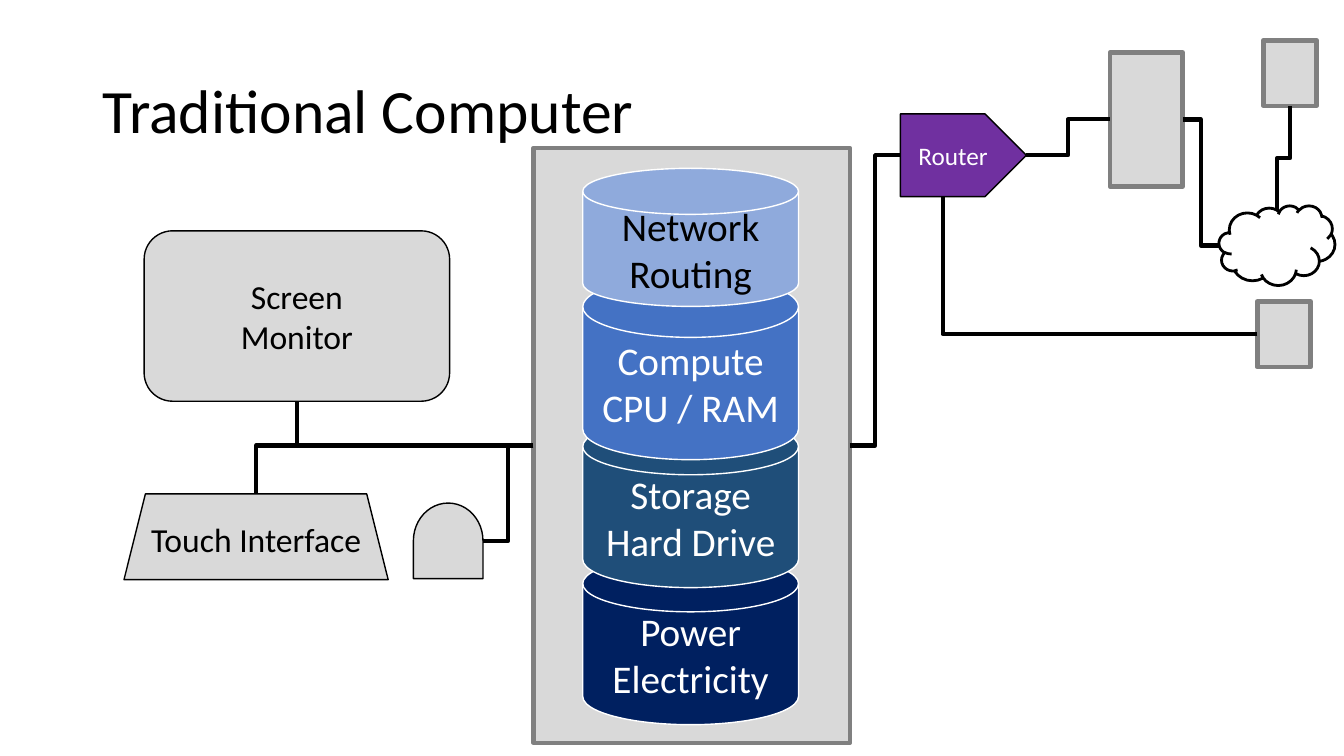
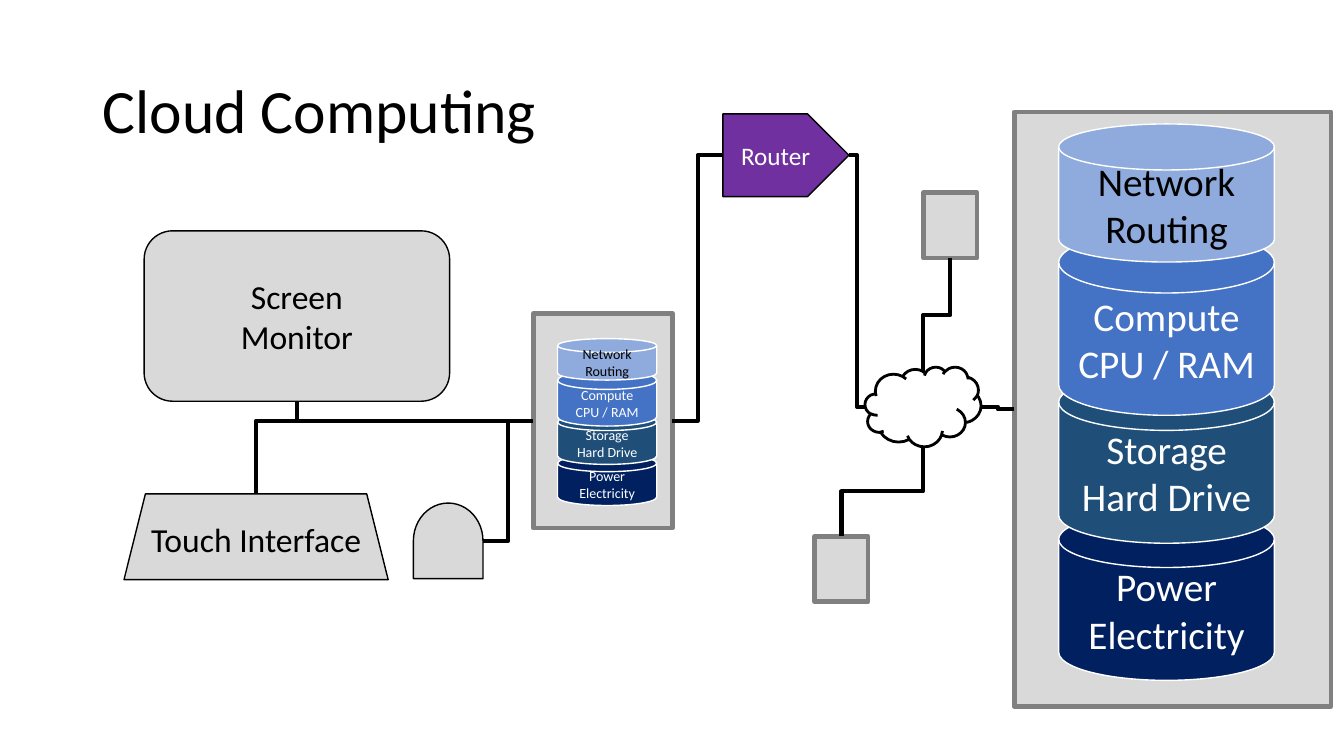
from collections import namedtuple

from lxml import etree
from pptx import Presentation
from pptx import util as u
from pptx.dml.color import RGBColor
from pptx.enum import shapes, text
from pptx.oxml.ns import qn

KIND = shapes.MSO_SHAPE
BLACK, WHITE, GRAY, LIGHT, PURPLE = "000000", "FFFFFF", "808080", "D9D9D9", "7030A0"
TITLE_ONLY = 5
NODE_SIZE = (0.53, 0.65)
TOWER_SIZE = (3.14, 5.9)
DISK_WIDTH = 2.14
# Lines of text, offset from the top of the stack, height, fill, text colour
DISKS = [
    (["Power", "Electricity"], 3.84, 1.68, "002060", WHITE),
    (["Storage", "Hard Drive"], 2.48, 1.68, "1F4E79", WHITE),
    (["Compute", "CPU / RAM"], 1.07, 1.82, "4472C4", WHITE),
    (["Network", "Routing"], 0, 1.37, "8FAADC", BLACK),
]
SITES = dict(top=0, left=1, bottom=2, right=3)
SPECIAL_SITES = {
    KIND.CLOUD: dict(right=0, bottom=1, left=2, top=3),
    KIND.FLOWCHART_DELAY: dict(right=2),
}
Port = namedtuple("Port", "shape site x y")


def color(value):
    return RGBColor.from_string(value)


def assign(target, values):
    for name, value in values.items():
        setattr(target, name, value)


def port(shape, side):
    """Find the connection site and its point on one side of a shape, as seen on the page."""
    kind = shape.auto_shape_type
    x, y = shape.left + shape.width / 2, shape.top + shape.height / 2
    half_width, half_height = shape.width / 2, shape.height / 2
    if shape.rotation % 180:
        half_width, half_height = half_height, half_width
    if side in ("left", "right"):
        x += half_width if side == "right" else -half_width
    else:
        y += half_height if side == "bottom" else -half_height
        if kind == KIND.PENTAGON:
            x -= shape.height / 4
        if kind == KIND.CLOUD and side == "top":
            y += u.Inches(0.05)
    site = SPECIAL_SITES.get(kind, SITES)[side]
    return Port(shape, site, x, y)


class Diagram:
    def __init__(self):
        self.deck = Presentation()
        assign(self.deck, dict(slide_width=u.Inches(13.33), slide_height=u.Inches(7.5)))
        self.page = None

    def label(self, frame, lines, size, ink, align, spacing=None):
        assign(frame, dict(word_wrap=True, vertical_anchor=text.MSO_ANCHOR.MIDDLE))
        for index, line in enumerate(lines):
            para = frame.add_paragraph() if index else frame.paragraphs[0]
            assign(para, dict(alignment=align, line_spacing=spacing))
            span = para.add_run()
            span.text = line
            assign(span.font, dict(name="Calibri", size=u.Pt(size)))
            span.font.color.rgb = color(ink)

    def start(self, title):
        self.page = self.deck.slides.add_slide(self.deck.slide_layouts[TITLE_ONLY])
        box = self.page.shapes.title
        assign(box, dict(left=u.Inches(0.92), top=u.Inches(0.4),
                         width=u.Inches(11.5), height=u.Inches(1.45)))
        self.label(box.text_frame, [title], 44, BLACK, text.PP_ALIGN.LEFT, 0.9)

    def shape(self, kind, left, top, width, height, fill=LIGHT, line=BLACK, weight=1,
              lines=(), size=24, ink=BLACK):
        box = self.page.shapes.add_shape(kind, *map(u.Inches, (left, top, width, height)))
        box.shadow.inherit = False
        box.fill.solid()
        box.fill.fore_color.rgb = color(fill)
        box.line.color.rgb = color(line)
        box.line.width = u.Pt(weight)
        self.label(box.text_frame, lines, size, ink, text.PP_ALIGN.CENTER)
        return box

    def case(self, left, top, width, height):
        return self.shape(KIND.RECTANGLE, left, top, width, height, line=GRAY, weight=3.25)

    def node(self, left, top):
        return self.case(left, top, *NODE_SIZE)

    def cloud(self, left, top):
        return self.shape(KIND.CLOUD, left, top, 1.15, 0.79, fill=WHITE, weight=2)

    def router(self, left):
        return self.shape(KIND.PENTAGON, left, 1.13, 1.25, 0.82, fill=PURPLE,
                          lines=["Router"], size=18, ink=WHITE)

    def stack(self, left, top, scale_x=1, scale_y=1, size=28):
        for lines, offset, height, fill, ink in DISKS:
            self.shape(KIND.FLOWCHART_MAGNETIC_DISK, left, top + offset * scale_y,
                       DISK_WIDTH * scale_x, height * scale_y, fill=fill, line=WHITE,
                       lines=lines, size=size, ink=ink)

    def elbow(self, begin, end, corner=False, upright=False):
        """Join two ports; corner bends once, upright leaves and arrives vertically."""
        line = self.page.shapes.add_connector(shapes.MSO_CONNECTOR.ELBOW, 0, 0, 0, 0)
        line.begin_connect(begin.shape, begin.site)
        line.end_connect(end.shape, end.site)
        x1, y1, x2, y2 = begin.x, begin.y, end.x, end.y
        properties = line.element.spPr
        if upright:
            # A quarter turn about the centre swaps the two extents
            x, y, run, rise = (x1 + x2) / 2, (y1 + y2) / 2, (x2 - x1) / 2, (y2 - y1) / 2
            x1, y1, x2, y2 = x - rise, y + run, x + rise, y - run
            properties.find(qn("a:xfrm")).set("rot", "5400000")
        assign(line, dict(begin_x=int(x1), begin_y=int(y1), end_x=int(x2), end_y=int(y2)))
        if corner:
            properties.find(qn("a:prstGeom")).set("prst", "bentConnector2")
        line.line.color.rgb = color(BLACK)
        line.line.width = u.Pt(3)
        etree.SubElement(properties, qn("a:effectLst"))

    def desk(self, computer):
        """Draw the screen, keyboard and mouse and wire them to the computer."""
        monitor = self.shape(KIND.ROUNDED_RECTANGLE, 1.43, 2.29, 3.03, 1.69,
                             lines=["Screen", "Monitor"])
        keyboard = self.shape(KIND.TRAPEZOID, 1.23, 4.9, 2.62, 0.85,
                              lines=["Touch Interface"])
        mouse = self.shape(KIND.FLOWCHART_DELAY, 4.07, 5.02, 0.75, 0.69)
        mouse.rotation = 270
        socket = port(computer, "left")
        self.elbow(port(mouse, "right"), socket)
        self.elbow(socket, port(keyboard, "top"), corner=True)
        self.elbow(socket, port(monitor, "bottom"), corner=True)


def traditional_computer(diagram):
    diagram.start("Traditional Computer")
    tower = diagram.case(5.29, 1.47, *TOWER_SIZE)
    diagram.stack(5.78, 1.67)
    diagram.desk(tower)
    router = diagram.router(8.93)
    server = diagram.case(11.01, 0.52, 0.72, 1.33)
    upper_node = diagram.node(12.53, 0.4)
    lower_node = diagram.node(12.47, 2.99)
    cloud = diagram.cloud(12.09, 2.04)
    diagram.elbow(port(tower, "right"), port(router, "left"))
    diagram.elbow(port(router, "right"), port(server, "left"))
    diagram.elbow(port(lower_node, "left"), port(router, "bottom"), corner=True)
    diagram.elbow(port(cloud, "left"), port(server, "right"))
    diagram.elbow(port(upper_node, "bottom"), port(cloud, "top"), upright=True)


def cloud_computing(diagram):
    diagram.start("Cloud Computing")
    computer = diagram.case(5.29, 3.11, 1.38, 2.13)
    diagram.stack(5.53, 3.36, 0.46, 0.3, size=10)
    diagram.desk(computer)
    router = diagram.router(7.17)
    cloud = diagram.cloud(8.58, 3.64)
    tower = diagram.case(10.06, 1.11, *TOWER_SIZE)
    diagram.stack(10.5, 1.23)
    upper_node = diagram.node(9.16, 1.91)
    lower_node = diagram.node(8.08, 5.32)
    diagram.elbow(port(computer, "right"), port(router, "left"))
    diagram.elbow(port(router, "right"), port(cloud, "left"))
    diagram.elbow(port(cloud, "right"), port(tower, "left"))
    diagram.elbow(port(cloud, "bottom"), port(lower_node, "top"), upright=True)
    diagram.elbow(port(upper_node, "bottom"), port(cloud, "top"), upright=True)


def main():
    diagram = Diagram()
    traditional_computer(diagram)
    cloud_computing(diagram)
    diagram.deck.save("out.pptx")


if __name__ == "__main__":
    main()
